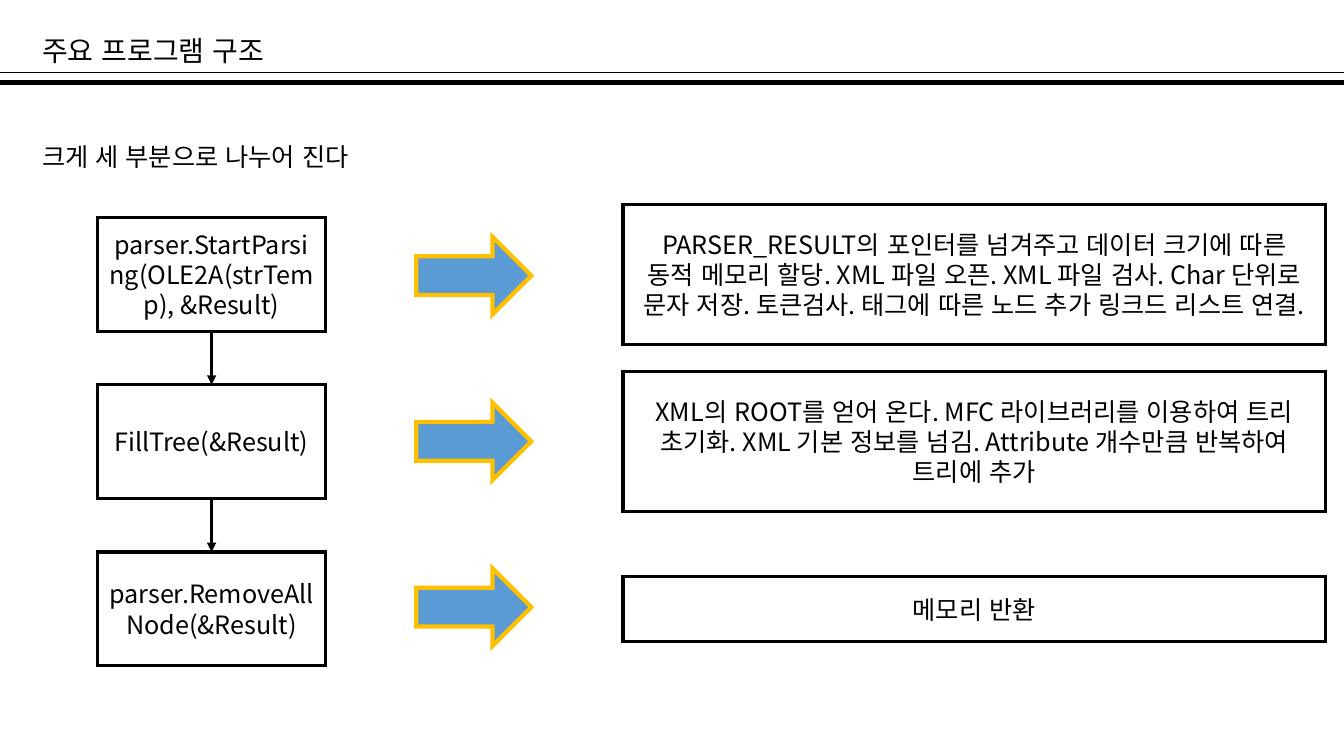
from lxml.etree import SubElement
from pptx import Presentation
from pptx.dml.color import RGBColor
from pptx.enum.lang import MSO_LANGUAGE_ID
from pptx.enum.shapes import MSO_CONNECTOR, MSO_SHAPE
from pptx.enum.text import MSO_ANCHOR, PP_ALIGN
from pptx.oxml.ns import qn
from pptx.util import Pt

COLORS = {"ink": "000000", "arrow": "5B9BD5", "arrow_edge": "FFC000"}
FONT = "Noto Sans CJK KR"


def write_text(box, text, size=18, align=PP_ALIGN.CENTER,
               anchor=MSO_ANCHOR.MIDDLE, spacing=None, wrap=True, inset=7.2):
    """Put one formatted paragraph into a box."""
    frame = box.text_frame
    frame.word_wrap = wrap
    frame.vertical_anchor = anchor
    frame.margin_left = frame.margin_right = Pt(inset)
    para = frame.paragraphs[0]
    para.alignment = align
    para.line_spacing = spacing
    span = para.add_run()
    span.text = text
    span.font.size = Pt(size)
    span.font.name = FONT
    span.font.language_id = MSO_LANGUAGE_ID.KOREAN
    span.font.color.rgb = RGBColor.from_string(COLORS["ink"])
    SubElement(span.font._element, qn("a:ea"), typeface=FONT)


def draw_line(x1, y1, x2, y2, width, arrow=False):
    """Draw a straight black line, with an arrowhead at its end if asked."""
    line = page.shapes.add_connector(
        MSO_CONNECTOR.STRAIGHT, Pt(x1), Pt(y1), Pt(x2), Pt(y2))
    line.line.color.rgb = RGBColor.from_string(COLORS["ink"])
    line.line.width = Pt(width)
    if arrow:
        SubElement(line.line._get_or_add_ln(), qn("a:tailEnd"), type="triangle")
    SubElement(line._element.spPr, qn("a:effectLst"))


deck = Presentation()
deck.slide_width, deck.slide_height = Pt(960), Pt(540)
page = deck.slides.add_slide(deck.slide_layouts[6])

# Heading with its double rule
draw_line(0, 59, 960, 59, 3)
draw_line(0, 51.8, 960, 51.8, 0.75)
title = page.shapes.add_textbox(Pt(23), Pt(0), Pt(842.4), Pt(51.8))
write_text(title, "주요 프로그램 구조", size=20, align=PP_ALIGN.LEFT,
           anchor=MSO_ANCHOR.BOTTOM, spacing=0.9)
intro = page.shapes.add_textbox(Pt(23), Pt(97.2), Pt(258.5), Pt(28.8))
write_text(intro, "크게 세 부분으로 나누어 진다", align=PP_ALIGN.LEFT,
           anchor=MSO_ANCHOR.TOP, wrap=False)

# Each row: program step, arrow, description and its height
ROWS = [
    ("parser.StartParsing(OLE2A(strTemp), &Result)",
     "PARSER_RESULT의 포인터를 넘겨주고 데이터 크기에 따른 동적 메모리 할당. "
     "XML 파일 오픈. XML 파일 검사. Char 단위로 문자 저장. 토큰검사. "
     "태그에 따른 노드 추가 링크드 리스트 연결.", 100.4),
    ("FillTree(&Result)",
     "XML의 ROOT를 얻어 온다. MFC 라이브러리를 이용하여 트리 초기화. "
     "XML 기본 정보를 넘김. Attribute 개수만큼 반복하여 트리에 추가", 100.4),
    ("parser.RemoveAllNode(&Result)", "메모리 반환", 46.8),
]
STEP_LEFT, STEP_WIDTH, STEP_HEIGHT = 69.8, 162.7, 81.4
FIRST_MIDDLE, ROW_PITCH = 196, 119.5
ARROW_TOP, ARROW_PITCH = 169.2, 118.4

for row, (step, description, height) in enumerate(ROWS):
    middle = FIRST_MIDDLE + row * ROW_PITCH
    for text, left, width, tall, inset in (
            (step, STEP_LEFT, STEP_WIDTH, STEP_HEIGHT, 7.2),
            (description, 445, 501.8, height, 13)):
        box = page.shapes.add_shape(
            MSO_SHAPE.RECTANGLE, Pt(left), Pt(middle - tall / 2), Pt(width), Pt(tall))
        box.shadow.inherit = False
        box.fill.background()
        box.line.color.rgb = RGBColor.from_string(COLORS["ink"])
        box.line.width = Pt(2.25)
        SubElement(box.line._get_or_add_ln(), qn("a:miter"), lim="800000")
        write_text(box, text, inset=inset)

    arrow = page.shapes.add_shape(
        MSO_SHAPE.RIGHT_ARROW, Pt(297.4), Pt(ARROW_TOP + row * ARROW_PITCH),
        Pt(82.1), Pt(55.4))
    arrow.shadow.inherit = False
    arrow.fill.solid()
    arrow.fill.fore_color.rgb = RGBColor.from_string(COLORS["arrow"])
    arrow.line.color.rgb = RGBColor.from_string(COLORS["arrow_edge"])
    arrow.line.width = Pt(3)
    SubElement(arrow.line._get_or_add_ln(), qn("a:miter"), lim="800000")

    if row:
        center = STEP_LEFT + STEP_WIDTH / 2
        top = middle - STEP_HEIGHT / 2
        draw_line(center, top - ROW_PITCH + STEP_HEIGHT, center, top, 2.25, arrow=True)

deck.save("out.pptx")
